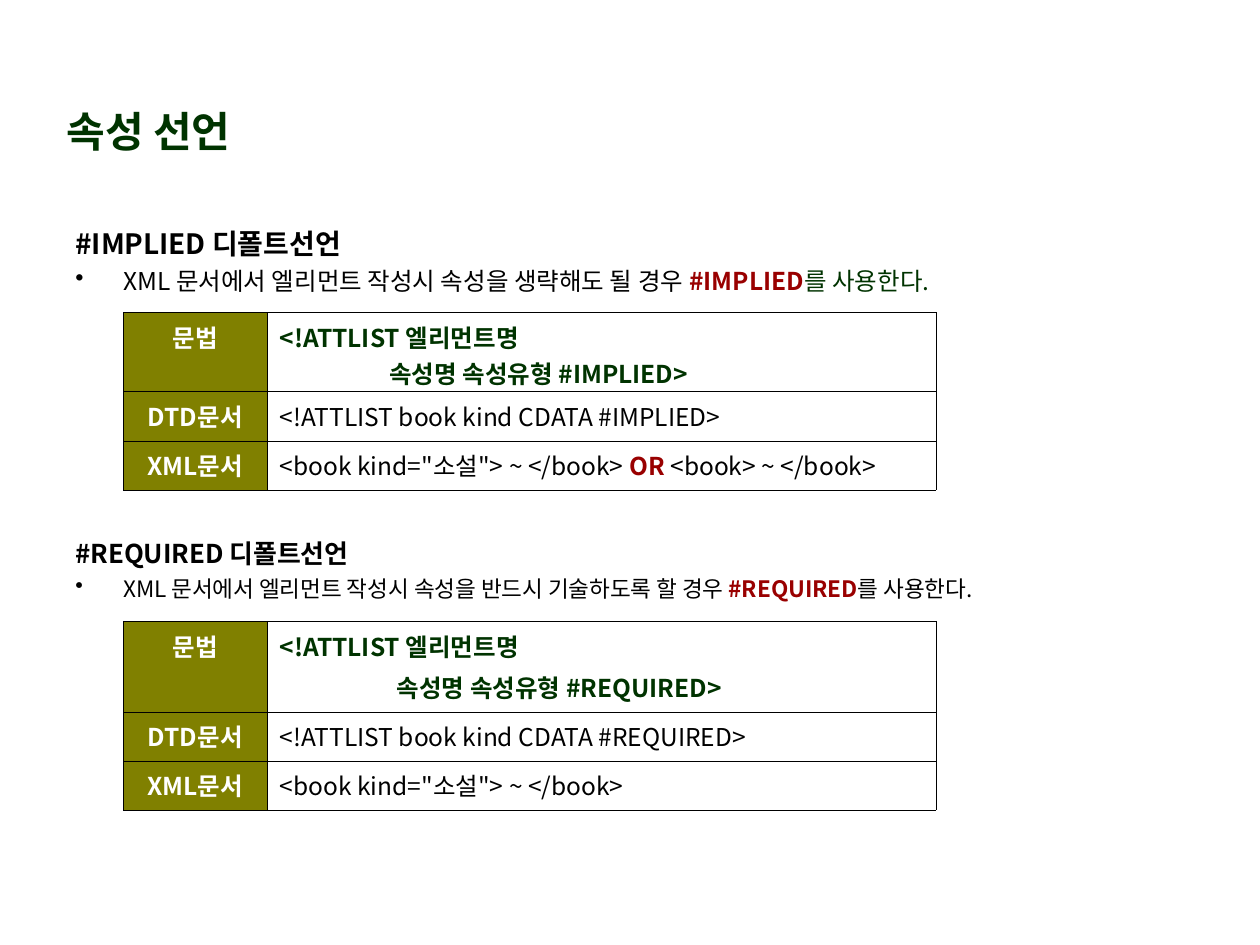
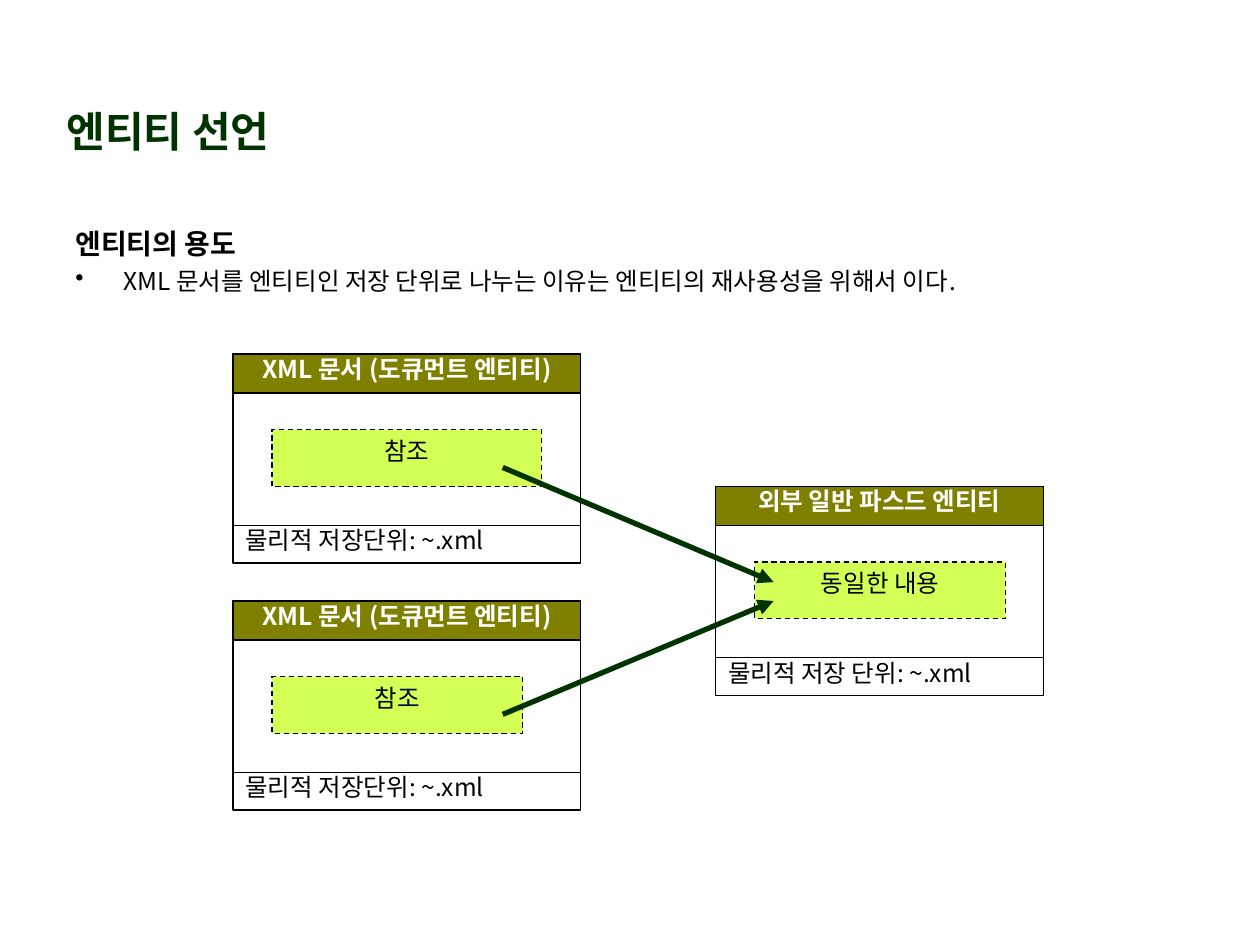
import pptx
import pptx.dml.color
import pptx.enum.dml
import pptx.enum.shapes
import pptx.enum.text
import pptx.oxml
import pptx.oxml.ns
import pptx.util
from dataclasses import dataclass


@dataclass(frozen=True)
class Theme:
    font: str = "Noto Sans CJK KR"
    ink: str = "000000"
    paper: str = "FFFFFF"
    green: str = "003300"
    olive: str = "808000"
    lime: str = "D3FF57"
    red: str = "990000"
    title: float = 24
    heading: float = 16
    body: float = 14
    heading_small: float = 14.8
    body_small: float = 12.9


T = Theme()
PX = 9144  # 100 px to the inch
ALIGN = pptx.enum.text.PP_ALIGN
ANCHOR = pptx.enum.text.MSO_ANCHOR
SHAPE = pptx.enum.shapes.MSO_SHAPE

# Content: a run is (text, colour, bold)
ATTRIBUTE_TITLE = "속성 선언"
ATTRIBUTE_SECTIONS = [
    dict(
        top=175, height=66, sizes=(T.heading, T.body),
        heading="#IMPLIED 디폴트선언",
        point=[("XML 문서에서 엘리먼트 작성시 속성을 생략해도 될 경우 ", T.ink, False),
               ("#IMPLIED", T.red, True), ("를 사용한다.", T.green, False)],
        table_top=248, syntax_height=63, syntax_before=0, syntax_indent=87,
        syntax=["<!ATTLIST 엘리먼트명", "속성명 속성유형 #IMPLIED>"],
        dtd="<!ATTLIST book kind CDATA #IMPLIED>",
        xml=[('<book kind="소설"> ~ </book> ', T.ink, False),
             ("OR ", T.red, True), ("<book> ~ </book>", T.ink, False)],
    ),
    dict(
        top=422, height=63, sizes=(T.heading_small, T.body_small),
        heading="#REQUIRED 디폴트선언",
        point=[("XML 문서에서 엘리먼트 작성시 속성을 반드시 기술하도록 할 경우 ", T.ink, False),
               ("#REQUIRED", T.red, True), ("를 사용한다.", T.ink, False)],
        table_top=493, syntax_height=72, syntax_before=3.5, syntax_indent=93,
        syntax=["<!ATTLIST 엘리먼트명", "속성명 속성유형 #REQUIRED>"],
        dtd="<!ATTLIST book kind CDATA #REQUIRED>",
        xml='<book kind="소설"> ~ </book>',
    ),
]
ROW_LABELS = ["문법", "DTD문서", "XML문서"]
TABLE_LEFT, COLUMNS, ROW_HEIGHT = 98, (114, 531), 39

ENTITY_TITLE = "엔티티 선언"
ENTITY_HEADING = "엔티티의 용도"
ENTITY_POINT = "XML 문서를 엔티티인 저장 단위로 나누는 이유는 엔티티의 재사용성을 위해서 이다."
# left, top, width, inner width, header, inner label, footer
ENTITIES = [
    (185, 281, 276, 214, "XML 문서 (도큐먼트 엔티티)", "참조", "물리적 저장단위: ~.xml"),
    (185, 477, 276, 199, "XML 문서 (도큐먼트 엔티티)", "참조", "물리적 저장단위: ~.xml"),
    (568, 386, 260, 199, "외부 일반 파스드 엔티티", "동일한 내용", "물리적 저장 단위: ~.xml"),
]
ARROWS = [(399, 371, 614, 462), (399, 567, 614, 477)]


def px(*values):
    return [v * PX for v in values]


def rgb(color):
    return pptx.dml.color.RGBColor.from_string(color)


def element(xml):
    return pptx.oxml.parse_xml(xml.replace(">", f' {pptx.oxml.ns.nsdecls("a")}>', 1)
                               if "/>" not in xml.split(">")[0] + ">"
                               else xml.replace("/>", f' {pptx.oxml.ns.nsdecls("a")}/>', 1))


def write(tf, runs, size=T.body, color=T.ink, bold=False, align=ALIGN.LEFT,
          before=0, indent=0, hanging=0, bullet=False):
    """Add one paragraph, given as a string or a list of runs."""
    p = tf.add_paragraph() if tf.text else tf.paragraphs[0]
    p.alignment = align
    p.space_before = pptx.util.Pt(before)
    pPr = p._p.get_or_add_pPr()
    pPr.set("marL", str(indent * PX))
    pPr.set("indent", str(-hanging * PX))
    if bullet:
        pPr.append(element(f'<a:buClr><a:srgbClr val="{T.ink}"/></a:buClr>'))
        pPr.append(element('<a:buChar char="•"/>'))
    for text, run_color, run_bold in [(runs, color, bold)] if isinstance(runs, str) else runs:
        r = p.add_run()
        r.text = text
        r.font.size, r.font.bold, r.font.name = pptx.util.Pt(size), run_bold, T.font
        r.font.color.rgb = rgb(run_color)
        r._r.get_or_add_rPr().append(element(f'<a:ea typeface="{T.font}"/>'))


def add_text(s, left, top, width, height, anchor=ANCHOR.TOP):
    tf = s.shapes.add_textbox(*px(left, top, width, height)).text_frame
    tf.word_wrap = True
    tf.vertical_anchor = anchor
    return tf


def add_slide(prs, title):
    s = prs.slides.add_slide(prs.slide_layouts[6])
    tf = add_text(s, 43, 76, 441, 55, ANCHOR.MIDDLE)
    write(tf, title, size=T.title, color=T.green, bold=True)
    return s


def add_topic(s, heading, point, top=175, height=66, sizes=(T.heading, T.body)):
    tf = add_text(s, 50, top, 899, height)
    write(tf, heading, size=sizes[0], bold=True, before=4, indent=38, hanging=38)
    write(tf, point, size=sizes[1], before=3.5, indent=38, hanging=38, bullet=True)


def style_cell(cell, fill=None):
    if fill:
        cell.fill.solid()
        cell.fill.fore_color.rgb = rgb(fill)
    else:
        cell.fill.background()
    tcPr = cell._tc.get_or_add_tcPr()
    for i, side in enumerate("LRTB"):
        tcPr.insert(i, element(f'<a:ln{side} w="5715"><a:solidFill><a:srgbClr val="{T.ink}"/>'
                               f'</a:solidFill></a:ln{side}>'))


def add_syntax_table(s, sec):
    heights = [sec["syntax_height"], ROW_HEIGHT, ROW_HEIGHT]
    frame = s.shapes.add_table(3, 2, *px(TABLE_LEFT, sec["table_top"], sum(COLUMNS), sum(heights)))
    table = frame.table
    table.first_row = table.horz_banding = False
    for column, width in zip(table.columns, COLUMNS):
        column.width = width * PX
    for row, height, label in zip(table.rows, heights, ROW_LABELS):
        row.height = height * PX
        style_cell(row.cells[0], T.olive)
        style_cell(row.cells[1])
        write(row.cells[0].text_frame, label, color=T.paper, bold=True,
              align=ALIGN.CENTER, before=3.5)
    syntax, dtd, xml = (row.cells[1].text_frame for row in table.rows)
    for line, indent in zip(sec["syntax"], (0, sec["syntax_indent"])):
        write(syntax, line, color=T.green, bold=True, before=sec["syntax_before"], indent=indent)
    write(dtd, sec["dtd"], before=3.5)
    write(xml, sec["xml"])


def add_box(s, left, top, width, height, fill, text="", inset=0, dashed=False, **fmt):
    sp = s.shapes.add_shape(SHAPE.RECTANGLE, *px(left, top, width, height))
    sp.shadow.inherit = False
    sp.fill.solid()
    sp.fill.fore_color.rgb = rgb(fill)
    sp.line.color.rgb = rgb(T.ink)
    sp.line.width = pptx.util.Pt(0.75)
    if dashed:
        sp.line.dash_style = pptx.enum.dml.MSO_LINE.DASH
    if text:
        tf = sp.text_frame
        tf.word_wrap = True
        tf.vertical_anchor = ANCHOR.TOP
        tf.margin_top = tf.margin_bottom = inset * PX
        write(tf, text, **fmt)


def add_entity(s, left, top, width, inner_width, header, inner, footer):
    add_box(s, left, top, width, 136, T.paper)
    add_box(s, left, top, width, 31, T.olive, header,
            color=T.paper, bold=True, align=ALIGN.CENTER)
    add_box(s, left + 31, top + 60, inner_width, 45, T.lime, inner, inset=5,
            dashed=True, align=ALIGN.CENTER)
    add_box(s, left, top + 136, width, 30, T.paper, footer)


def add_arrow(s, *ends):
    c = s.shapes.add_connector(pptx.enum.shapes.MSO_CONNECTOR.STRAIGHT, *px(*ends))
    c.line.color.rgb = rgb(T.green)
    c.line.width = pptx.util.Pt(3)
    c.line._get_or_add_ln().append(element('<a:tailEnd type="triangle"/>'))
    c._element.spPr.append(element("<a:effectLst/>"))


def main():
    prs = pptx.Presentation()
    prs.slide_width, prs.slide_height = px(1000, 750)

    # Attribute declarations
    s = add_slide(prs, ATTRIBUTE_TITLE)
    for sec in ATTRIBUTE_SECTIONS:
        add_topic(s, sec["heading"], sec["point"], sec["top"], sec["height"], sec["sizes"])
        add_syntax_table(s, sec)

    # Entity declarations
    s = add_slide(prs, ENTITY_TITLE)
    add_topic(s, ENTITY_HEADING, ENTITY_POINT)
    for entity in ENTITIES:
        add_entity(s, *entity)
    for ends in ARROWS:
        add_arrow(s, *ends)

    prs.save("out.pptx")


if __name__ == "__main__":
    main()
